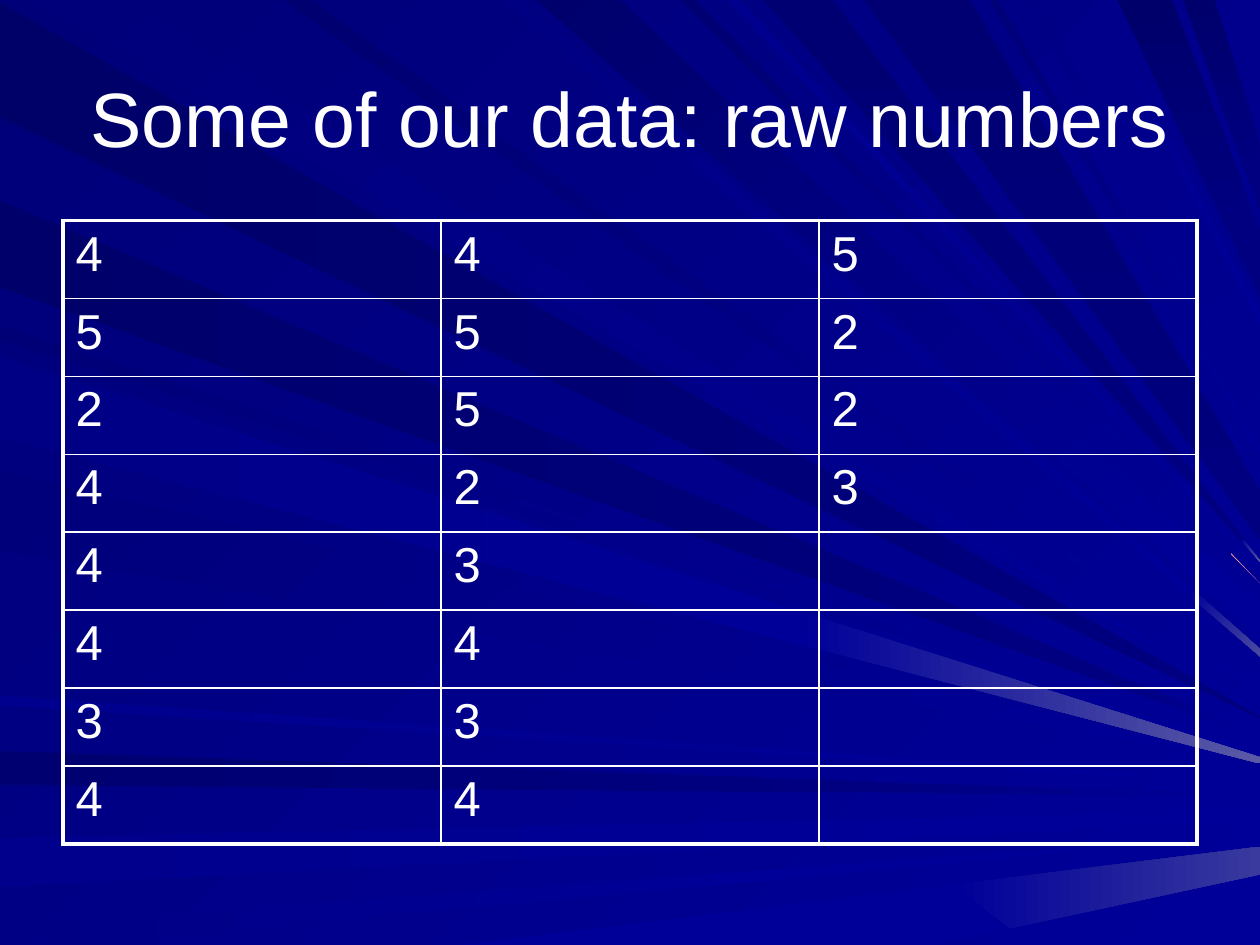
from lxml import etree
from pptx import Presentation
from pptx.dml.color import RGBColor
from pptx.enum.text import MSO_ANCHOR, PP_ALIGN
from pptx.oxml.ns import qn
from pptx.util import Pt

PX = 9144  # EMU in one px; 100 px make an inch
WIDE, HIGH = 1000, 750
LEFT, CENTER = PP_ALIGN.LEFT, PP_ALIGN.CENTER
MIDDLE = MSO_ANCHOR.MIDDLE
THIN, THICK = 1, 2.25
FLAT, SLANT, DOWN = 0, 45, 90

INK = {
    "white": "FFFFFF", "pink": "FF9999",
    "haze1": "39399E", "haze2": "4A4AA1", "haze3": "5A5AA6",
    "b69": "000069", "b6b": "00006B", "b6d": "00006D", "b70": "000070",
    "b71": "000071", "b73": "000073", "b76": "000076", "b78": "000078",
    "b7b": "00007B", "b7e": "00007E", "b80": "000080", "b83": "000083",
    "b85": "000085", "b8a": "00008A", "b8c": "00008C", "b8e": "00008E",
    "b99": "000099",
}

# Back to front: colours, angle, both starts (see rim), both ends on the
# right edge, and the x of both sides where the ray changes colour, if it does.
RAYS = [
    ("b69 b80", FLAT, (-2, -93), (569, 570)),
    ("b7b b99", SLANT, (26, 101), (563, 562)),
    ("b71 b80 b80 b99", FLAT, (-596, -623), (631, 632), (701, 701)),
    ("b8c b99 b99 b99", FLAT, (-665, -704), (643, 651), (831, 831)),
    ("b85 b99 b99 b99", FLAT, (-735, -804), (662, 662), (628, 628)),
    ("b99 b99 b99 haze1", FLAT, (-1114, -1492), (672, 694), (756, 801)),
    ("b76 b99 b99 b99", SLANT, (-258, -270), (589, 589), (873, 873)),
    ("b6b b80 b80 b99", FLAT, (-159, -228), (584, 585), (873, 873)),
    ("b83 b99 b99 haze2", SLANT, (398, 416), (521, 515), (944, 947)),
    ("b6d b99 b99 b99", SLANT, (426, 492), (507, 479), (951, 968)),
    ("b73 b99 pink pink", SLANT, (540, 552), (463, 463), (977, 977)),
    ("b73 b80 b99 haze3", DOWN, (606, 661), (446, 445), (985, 987)),
    ("b6b b80 b80 b80", DOWN, (887, 930), (237, 183), (973, 986)),
    ("b6d b80 b80 b80", DOWN, (939, 964), (167, 114), (989, 999)),
    ("b7e b99", SLANT, (-278, -342), (596, 602)),
    ("b7b b99", SLANT, (-374, -437), (605, 606)),
    ("b8e b99", FLAT, (-552, -560), (621, 623)),
    ("b70 b99", SLANT, (225, 247), (552, 547)),
    ("b8e b99", SLANT, (577, 588), (454, 453)),
    ("b73 b80", DOWN, (686, 770), (428, 390)),
    ("b78 b99", SLANT, (785, 792), (360, 354)),
    ("b85 b99", SLANT, (815, 824), (336, 335)),
    ("b8a b99", SLANT, (865, 872), (258, 249)),
    ("b85 b99 b99 haze3", FLAT, (-283, -347), (601, 606), (637, 633)),
]

DATA = ["445", "552", "252", "423", "43", "44", "33", "44"]


def rgb(name):
    return RGBColor.from_string(INK[name])


def rim(pos):
    """Point on the slide's rim: right along the top, or, when negative,
    down the left side and on along the bottom."""
    if pos >= 0:
        return pos, 0
    return max(0, -pos - HIGH), min(-pos, HIGH)


def split(start, end, x):
    """Point at x on the line from start to end."""
    part = (x - start[0]) / (end[0] - start[0])
    return x, round(start[1] + part * (end[1] - start[1]))


def paint(fill, first, last, angle):
    """Fill with a gradient, or plainly when both colours agree."""
    if first == last:
        fill.solid()
        fill.fore_color.rgb = rgb(first)
        return
    fill.gradient()
    fill.gradient_angle = -angle % 360
    for stop, name in zip(fill.gradient_stops, (first, last)):
        stop.color.rgb = rgb(name)


def write(frame, text, size, align=LEFT, before=0):
    para = frame.paragraphs[0]
    para.alignment = align
    para.space_before = Pt(before)
    run = para.add_run()
    run.text = text
    run.font.size = Pt(size)
    run.font.name = "Arial"
    run.font.color.rgb = rgb("white")


def edge(cell, side, width):
    line = etree.SubElement(cell._tc.get_or_add_tcPr(), qn("a:ln" + side), w=str(Pt(width)))
    fill = etree.SubElement(line, qn("a:solidFill"))
    etree.SubElement(fill, qn("a:srgbClr"), val=INK["white"])


class Deck:
    def __init__(self):
        self.file = Presentation()
        self.file.slide_width, self.file.slide_height = WIDE * PX, HIGH * PX
        self.slide = self.file.slides.add_slide(self.file.slide_layouts[6])
        self.shapes = self.slide.shapes

    def ground(self, first, last, angle):
        paint(self.slide.background.fill, first, last, angle)

    def band(self, near, far, first, last, angle):
        """Four-sided piece of a ray between two pairs of points."""
        pen = self.shapes.build_freeform(*near[0], scale=PX)
        pen.add_line_segments([far[0], far[1], near[1]], close=True)
        shape = pen.convert_to_shape()
        shape.shadow.inherit = False
        shape.line.fill.background()
        paint(shape.fill, first, last, angle)

    def ray(self, inks, angle, starts, ends, cuts=None):
        inks = inks.split()
        near = [rim(pos) for pos in starts]
        far = [(WIDE, y) for y in ends]
        if cuts:
            mid = [split(*side) for side in zip(near, far, cuts)]
            tilt = FLAT if starts[0] < 0 else SLANT
            self.band(mid, far, *inks[2:], tilt)
            far = mid
        self.band(near, far, *inks[:2], angle)

    def title(self, text, *box):
        frame = self.shapes.add_textbox(*(n * PX for n in box)).text_frame
        frame.word_wrap = True
        frame.vertical_anchor = MIDDLE
        write(frame, text, 44, align=CENTER)

    def table(self, data, cols, *box):
        rows = len(data)
        grid = self.shapes.add_table(rows, cols, *(n * PX for n in box)).table
        grid.first_row = grid.horz_banding = False
        for r in range(rows):
            for c in range(cols):
                cell = grid.cell(r, c)
                outer = {"L": c == 0, "R": c == cols - 1, "T": r == 0, "B": r == rows - 1}
                for side, thick in outer.items():
                    edge(cell, side, THICK if thick else THIN)
                cell.fill.background()
                if c < len(data[r]):
                    write(cell.text_frame, data[r][c], 28, before=5.6)


def main():
    deck = Deck()
    deck.ground("b78", "b99", SLANT)
    for ray in RAYS:
        deck.ray(*ray)
    deck.title("Some of our data: raw numbers", 50, 30, 900, 125)
    deck.table(DATA, 3, 50, 175, 900, 495)
    deck.file.save("out.pptx")


if __name__ == "__main__":
    main()
